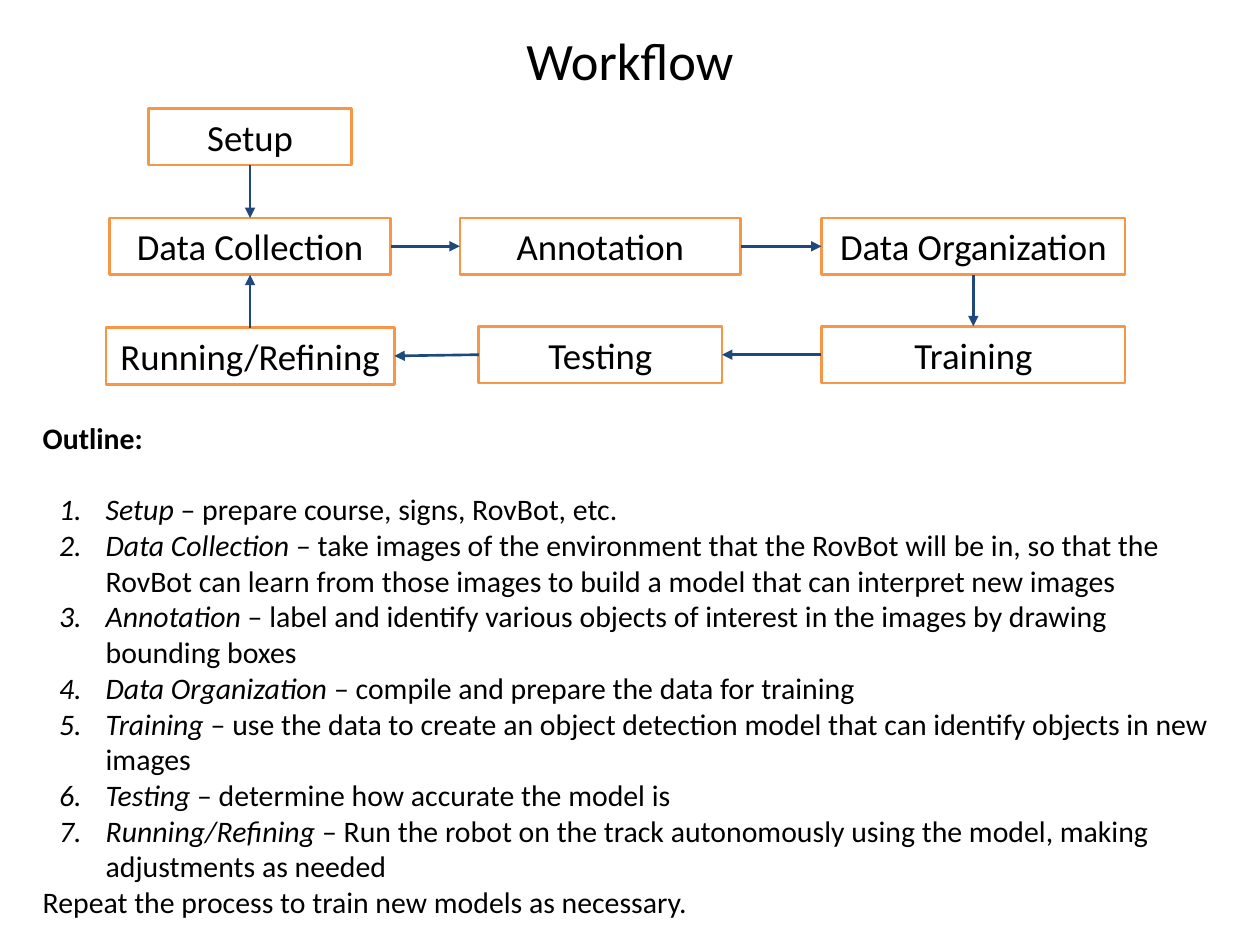
from lxml import etree
from pptx import Presentation, util as u
from pptx.dml.color import RGBColor
from pptx.enum import shapes, text
from pptx.oxml.ns import qn

FONT = "Calibri"
BLACK, ORANGE, NAVY = "000000", "F79646", "1F497D"
BOX_HEIGHT = 0.45
TOP, LEFT, BOTTOM, RIGHT = range(4)  # connection sites of a rectangle

# Name: left, top, width
STEPS = {
    "Setup": (1.18, 0.86, 1.61),
    "Data Collection": (0.87, 1.73, 2.23),
    "Annotation": (3.65, 1.73, 2.23),
    "Data Organization": (6.52, 1.73, 2.41),
    "Training": (6.52, 2.59, 2.41),
    "Testing": (3.8, 2.59, 1.93),
    "Running/Refining": (0.84, 2.6, 2.29),
}

# From step, site, to step, site
ARROWS = [
    ("Setup", BOTTOM, "Data Collection", TOP),
    ("Data Collection", RIGHT, "Annotation", LEFT),
    ("Annotation", RIGHT, "Data Organization", LEFT),
    ("Data Organization", BOTTOM, "Training", TOP),
    ("Training", LEFT, "Testing", RIGHT),
    ("Testing", LEFT, "Running/Refining", RIGHT),
    ("Running/Refining", TOP, "Data Collection", BOTTOM),
]

# One description for each step, in the same order
DESCRIPTIONS = [
    "prepare course, signs, RovBot, etc.",
    "take images of the environment that the RovBot will be in, so that the "
    "RovBot can learn from those images to build a model that can interpret new images",
    "label and identify various objects of interest in the images by drawing bounding boxes",
    "compile and prepare the data for training",
    "use the data to create an object detection model that can identify objects in new images",
    "determine how accurate the model is",
    "Run the robot on the track autonomously using the model, making adjustments as needed",
]


def color(hex_string):
    return RGBColor.from_string(hex_string)


def add_run(paragraph, words, size, bold=False, italic=False):
    run = paragraph.add_run()
    run.text = words
    font = run.font
    font.name, font.size = FONT, u.Pt(size)
    font.bold, font.italic = bold, italic
    font.color.rgb = color(BLACK)


def set_title(slide, words):
    title = slide.shapes.title
    title.left, title.top = u.Inches(0.5), u.Inches(0.14)
    title.width, title.height = u.Inches(9), u.Inches(0.67)
    title.text_frame.vertical_anchor = text.MSO_ANCHOR.MIDDLE
    paragraph = title.text_frame.paragraphs[0]
    paragraph.alignment = text.PP_ALIGN.CENTER
    add_run(paragraph, words, 30)


def add_step(slide, name, left, top, width):
    box = slide.shapes.add_shape(
        shapes.MSO_SHAPE.RECTANGLE,
        u.Inches(left), u.Inches(top), u.Inches(width), u.Inches(BOX_HEIGHT))
    box.shadow.inherit = False
    box.fill.background()
    box.line.color.rgb = color(ORANGE)
    box.line.width = u.Pt(1.5)
    frame = box.text_frame
    frame.word_wrap = False
    frame.vertical_anchor = text.MSO_ANCHOR.TOP
    paragraph = frame.paragraphs[0]
    paragraph.alignment = text.PP_ALIGN.CENTER
    add_run(paragraph, name, 21)
    return box


def add_arrow(slide, start, start_site, end, end_site):
    arrow = slide.shapes.add_connector(shapes.MSO_CONNECTOR.STRAIGHT, 0, 0, 0, 0)
    arrow.begin_connect(start, start_site)
    arrow.end_connect(end, end_site)
    arrow.line.color.rgb = color(NAVY)
    arrow.line.width = u.Pt(1.5)
    etree.SubElement(arrow.line._get_or_add_ln(), qn("a:tailEnd"), type="triangle")
    etree.SubElement(arrow._element.spPr, qn("a:effectLst"))


def number(paragraph):
    properties = paragraph._p.get_or_add_pPr()
    properties.set("marL", str(u.Inches(0.5)))
    properties.set("indent", str(u.Inches(-0.37)))
    etree.SubElement(properties, qn("a:buFont"), typeface=FONT)
    etree.SubElement(properties, qn("a:buAutoNum"), type="arabicPeriod")


def add_outline(slide, size=17):
    box = slide.shapes.add_textbox(
        u.Inches(0.24), u.Inches(3.28), u.Inches(9.59), u.Inches(4.11))
    frame = box.text_frame
    frame.word_wrap = True
    heading = frame.paragraphs[0]
    heading.space_after = u.Pt(20.5)
    add_run(heading, "Outline:", size, bold=True)
    for name, description in zip(STEPS, DESCRIPTIONS):
        item = frame.add_paragraph()
        number(item)
        add_run(item, name, size, italic=True)
        add_run(item, f" – {description}", size)
    add_run(frame.add_paragraph(),
            "Repeat the process to train new models as necessary.", size)


def main():
    presentation = Presentation()
    presentation.slide_width = u.Inches(10)
    presentation.slide_height = u.Inches(7.5)
    slide = presentation.slides.add_slide(presentation.slide_layouts[5])
    set_title(slide, "Workflow")

    # Flow chart
    boxes = {name: add_step(slide, name, *place) for name, place in STEPS.items()}
    for start, start_site, end, end_site in ARROWS:
        add_arrow(slide, boxes[start], start_site, boxes[end], end_site)

    # Numbered explanation
    add_outline(slide)
    presentation.save("out.pptx")


if __name__ == "__main__":
    main()
